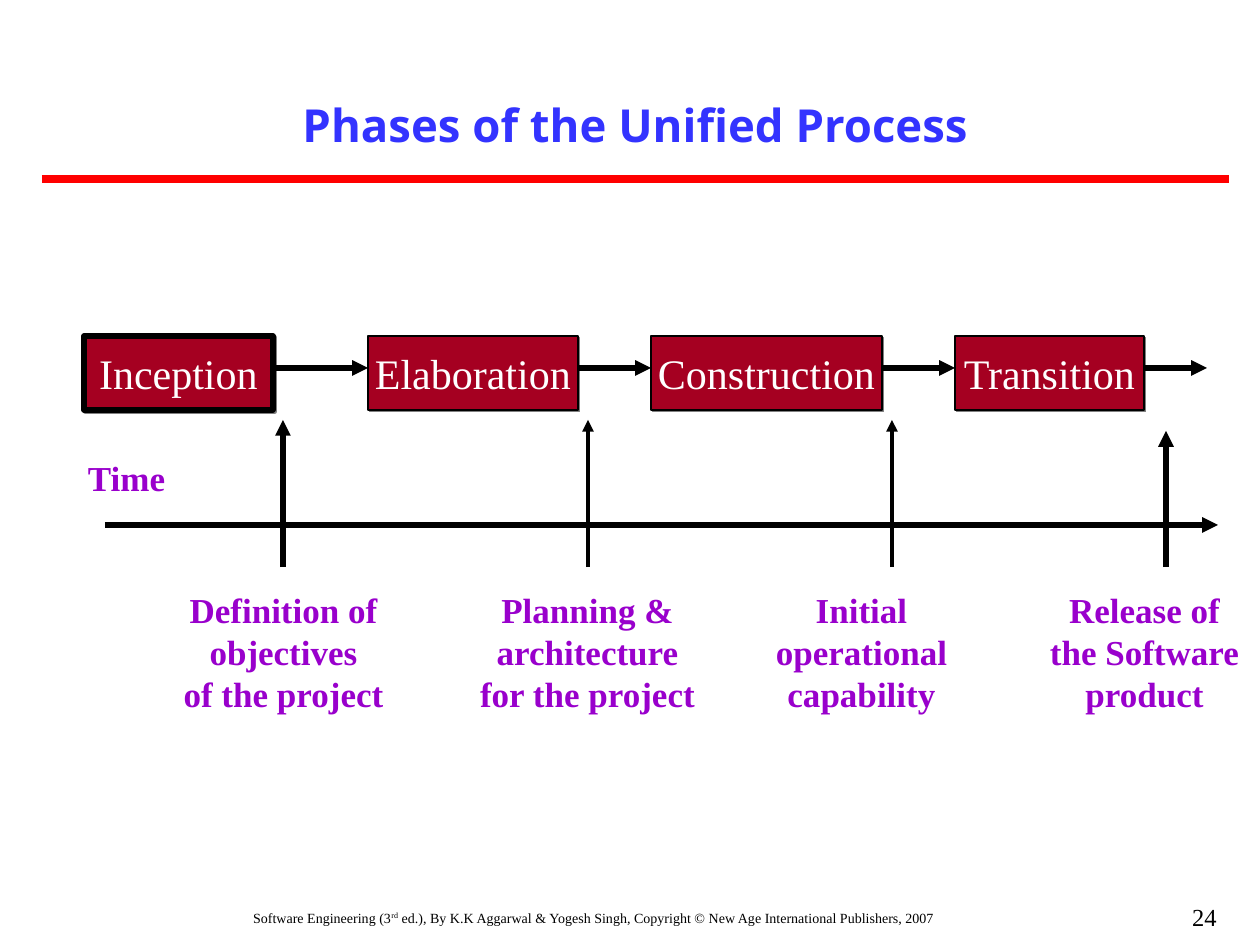
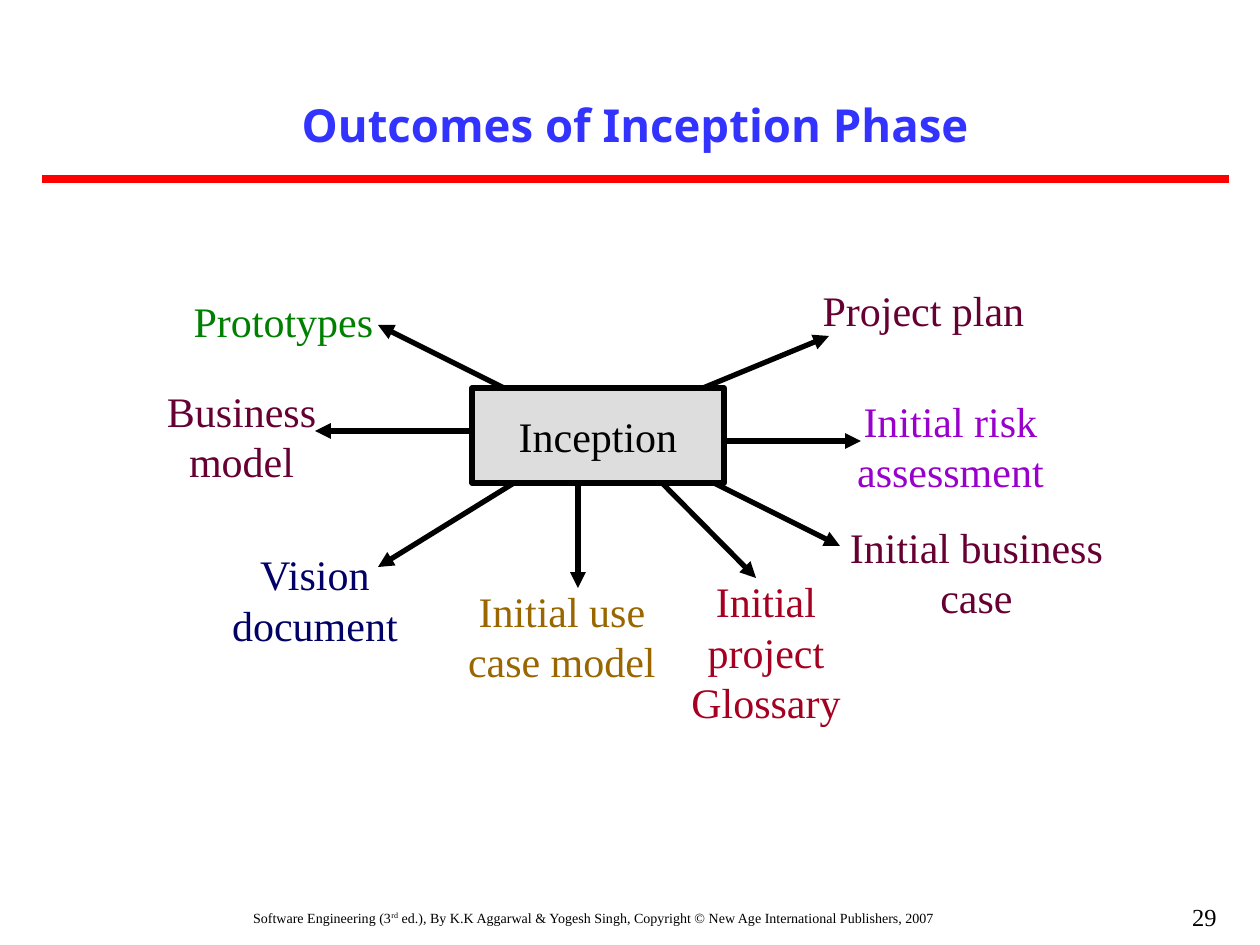
from itertools import zip_longest

from lxml import etree
from pptx import Presentation
from pptx import util as u
from pptx.dml.color import RGBColor
from pptx.enum import shapes, text
from pptx.oxml.ns import qn

PX = 914400 / 126
SERIF, SANS = "Times New Roman", "Noto Sans"
BLACK, WHITE, RED, BLUE = "000000", "FFFFFF", "FF0000", "3333FF"
CRIMSON, PURPLE, PLUM, GREY = "A50021", "9900CC", "660033", "DDDDDD"
NAVY, OCHRE, GREEN = "000066", "996600", "008000"
CENTER, RIGHT = text.PP_ALIGN.CENTER, text.PP_ALIGN.RIGHT


def px(*lengths):
    return [u.Emu(round(length * PX)) for length in lengths]


def color(value):
    return RGBColor.from_string(value)


def style(para, size, ink, font=SERIF, bold=False, align=CENTER):
    para.alignment = align
    para.font.name, para.font.size, para.font.bold = font, u.Pt(size), bold
    para.font.color.rgb = color(ink)


def add_line(page, start, end, width=3, ink=BLACK, arrow=True):
    line = page.shapes.add_connector(shapes.MSO_CONNECTOR.STRAIGHT, *px(*start, *end))
    line.line.width = u.Pt(width)
    line.line.color.rgb = color(ink)
    properties = line._element.spPr
    if arrow:
        etree.SubElement(properties.find(qn("a:ln")), qn("a:tailEnd"), type="triangle")
    etree.SubElement(properties, qn("a:effectLst"))


def add_box(page, place, words, size=24, ink=BLACK, fill=WHITE, border=WHITE,
            width=0.75, bold=False):
    """Add a rectangle with one centred paragraph for each line of words."""
    box = page.shapes.add_shape(shapes.MSO_SHAPE.RECTANGLE, *px(*place))
    box.shadow.inherit = False
    box.fill.solid()
    box.fill.fore_color.rgb = color(fill)
    box.line.color.rgb = color(border)
    box.line.width = u.Pt(width)
    frame = box.text_frame
    frame.word_wrap = False
    frame.vertical_anchor = text.MSO_ANCHOR.MIDDLE
    frame.text = words
    for para in frame.paragraphs:
        style(para, size, ink, bold=bold)
    return box


def add_hard_shadow(box):
    effects = box._element.spPr.find(qn("a:effectLst"))
    shadow = etree.SubElement(effects, qn("a:outerShdw"), dist=str(u.Pt(1.4)),
                              dir="2700000", algn="ctr", rotWithShape="0")
    etree.SubElement(shadow, qn("a:srgbClr"), val="808080")


def add_note(page, place, spans, size, align):
    """Add a text box of (wording, baseline shift) spans."""
    box = page.shapes.add_textbox(*px(*place))
    box.text_frame.word_wrap = True
    para = box.text_frame.paragraphs[0]
    for words, shift in spans:
        span = para.add_run()
        span.text = words
        if shift:
            span.font._element.set("baseline", str(shift))
    style(para, size, BLACK, align=align)


def add_page(deck, heading, number):
    page = deck.slides.add_slide(deck.slide_layouts[5])
    title = page.shapes.title
    title.left, title.top, title.width, title.height = px(42, 91, 1187, 68)
    frame = title.text_frame
    frame.text = heading
    frame.auto_size = text.MSO_AUTO_SIZE.NONE
    frame.vertical_anchor = text.MSO_ANCHOR.TOP
    style(frame.paragraphs[0], 26, BLUE, SANS, True)
    add_line(page, (42, 179), (1229, 179), 4.5, RED, arrow=False)
    add_note(page, (32, 903, 1124, 42), [
        ("Software Engineering (3", 0), ("rd", 30000),
        (" ed.), By K.K Aggarwal & Yogesh Singh, Copyright © New Age "
         "International Publishers, 2007", 0)], 8, CENTER)
    add_note(page, (966, 896, 263, 73), [(str(number), 0)], 14, RIGHT)
    return page


def add_phases(page):
    phases = [("Inception", 84, 189, 3), ("Elaboration", 368, 210, 0.75),
              ("Construction", 651, 231, 0.75), ("Transition", 955, 189, 0.75)]
    for name, left, width, border in phases:
        box = add_box(page, (left, 336, width, 74), name, ink=WHITE,
                      fill=CRIMSON, border=BLACK, width=border)
        add_hard_shadow(box)
    next_lefts = [left for _, left, _, _ in phases[1:]]
    for (_, left, width, _), end in zip_longest(phases, next_lefts, fillvalue=1207):
        add_line(page, (left + width, 368), (end, 368))


def add_milestones(page):
    add_line(page, (105, 525), (1218, 525))
    add_box(page, (53, 462, 147, 32), "Time", 20, PURPLE, bold=True)
    milestones = [
        ("Definition of\nobjectives\nof the project", 168, 283, 420, 3),
        ("Planning &\narchitecture\nfor the project", 472, 588, 420, 2.25),
        ("Initial\noperational\ncapability", 746, 892, 420, 2.25),
        ("Release of\nthe Software\nproduct", 1029, 1166, 431, 3)]
    for words, left, x, tip, width in milestones:
        add_box(page, (left, 567, 231, 168), words, 20, PURPLE, bold=True)
        add_line(page, (x, 567), (x, tip), width)


def add_outcomes(page):
    outcomes = [
        ("Project plan", PLUM, (829, 252, 189, 116), (703, 388), (829, 336)),
        ("Initial risk\nassessment", PURPLE, (861, 388, 179, 116), (725, 441), (861, 441)),
        ("Initial business\ncase", PLUM, (840, 514, 273, 116), (714, 483), (840, 546)),
        ("Initial\nproject\nGlossary", CRIMSON, (703, 599, 126, 105), (662, 483), (756, 578)),
        ("Initial use\ncase model", OCHRE, (462, 588, 200, 95), (578, 483), (578, 588)),
        ("Vision\ndocument", NAVY, (252, 557, 126, 84), (514, 483), (378, 567)),
        ("Business\nmodel", PLUM, (168, 378, 147, 116), (472, 431), (315, 431)),
        ("Prototypes", GREEN, (189, 294, 189, 53), (504, 388), (378, 325))]
    for words, ink, place, start, end in outcomes:
        add_box(page, place, words, ink=ink)
        add_line(page, start, end)
    add_box(page, (472, 388, 252, 95), "Inception", fill=GREY, border=BLACK, width=3)


def main():
    deck = Presentation()
    deck.slide_width, deck.slide_height = px(1260, 945)
    process = add_page(deck, "Phases of the Unified Process", 24)
    add_phases(process)
    add_milestones(process)
    add_outcomes(add_page(deck, "Outcomes of Inception Phase", 29))
    deck.save("out.pptx")


if __name__ == "__main__":
    main()
